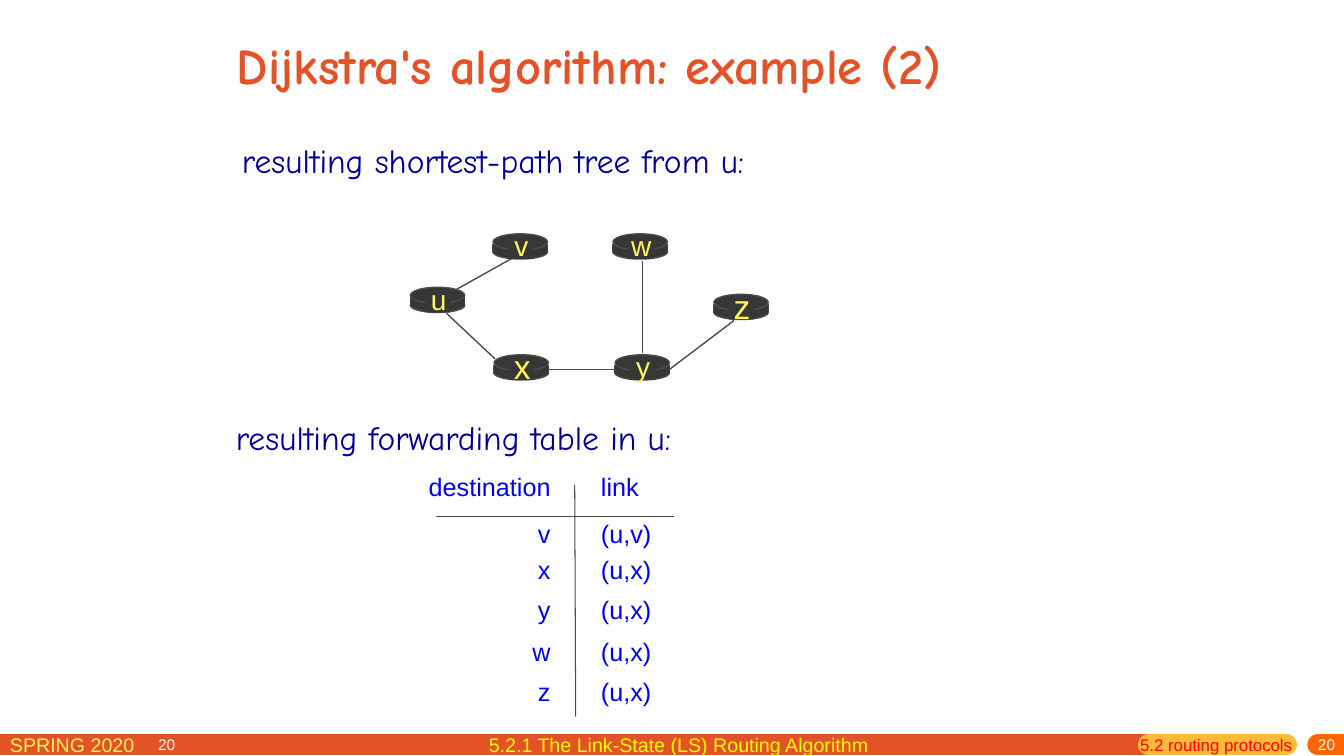
from dataclasses import dataclass
from lxml.etree import SubElement
from pptx import Presentation
from pptx.dml.color import RGBColor as Color
from pptx.enum.shapes import MSO_CONNECTOR as Connector, MSO_SHAPE as Shape
from pptx.enum.text import MSO_ANCHOR as Anchor, PP_ALIGN as Align
from pptx.oxml.ns import qn
from pptx.util import Inches, Pt


@dataclass(frozen=True)
class Theme:
    heading_font: str = "Comic Neue"
    body_font: str = "Arial"
    orange: str = "E45327"
    amber: str = "FFBA37"
    bright_orange: str = "FF6600"
    navy: str = "000099"
    blue: str = "0000FF"
    red: str = "FF0000"
    yellow: str = "FFFF00"
    pale_yellow: str = "FFF65C"
    white: str = "FFFFFF"
    router: str = "373737"
    line: str = "4C4C4C"
    title_size: int = 36
    heading_size: int = 24
    label_size: int = 20
    table_size: int = 18
    footer_size: int = 14
    section_size: int = 12
    number_size: int = 11


class SlideBuilder:
    def __init__(self, slide, theme):
        self.slide = slide
        self.theme = theme

    def style(self, text_frame, size, color, font=None, align=Align.LEFT, bold=False):
        for paragraph in text_frame.paragraphs:
            paragraph.alignment = align
            for run in paragraph.runs:
                run.font.name = font or self.theme.body_font
                run.font.size = Pt(size)
                run.font.bold = bold
                run.font.color.rgb = Color.from_string(color)

    def text(self, content, left, top, width, height, size, color,
             anchor=Anchor.TOP, margins=(0.1, 0.05, 0.1, 0.05), **options):
        box = self.slide.shapes.add_textbox(
            Inches(left), Inches(top), Inches(width), Inches(height))
        frame = box.text_frame
        frame.word_wrap = True
        frame.vertical_anchor = anchor
        (frame.margin_left, frame.margin_top,
         frame.margin_right, frame.margin_bottom) = map(Inches, margins)
        frame.text = content
        self.style(frame, size, color, **options)

    def line(self, start, end, color=None, weight=1.0, round_cap=False):
        connector = self.slide.shapes.add_connector(
            Connector.STRAIGHT, *map(Inches, (*start, *end)))
        connector.line.color.rgb = Color.from_string(color or self.theme.line)
        connector.line.width = Pt(weight)
        if round_cap:
            connector.line._get_or_add_ln().set("cap", "rnd")
        SubElement(connector._element.spPr, qn("a:effectLst"))
        return connector

    def solid(self, kind, left, top, width, height, outlined=False):
        shape = self.slide.shapes.add_shape(
            kind, Inches(left), Inches(top), Inches(width), Inches(height))
        shape.shadow.inherit = False
        shape.fill.solid()
        shape.fill.fore_color.rgb = Color.from_string(self.theme.router)
        if outlined:
            shape.line.color.rgb = Color.from_string(self.theme.line)
            shape.line.width = Pt(1)
        else:
            shape.line.fill.background()
        return shape

    def router(self, name, left, top, size):
        """Draw a labelled cylinder and return its body rectangle."""
        width, body_height, body_top = 0.54, 0.09, top + 0.1
        self.solid(Shape.OVAL, left, top + 0.11, width, 0.14, outlined=True)
        for side in (left, left + width):
            self.line((side, body_top), (side, body_top + body_height))
        body = self.solid(Shape.RECTANGLE, left, body_top, width, body_height)
        self.solid(Shape.OVAL, left, top, width, 0.16, outlined=True)
        self.solid(Shape.RECTANGLE, left + 0.15, top + 0.02, 0.25, 0.23)
        self.text(name, left + 0.08, top - 0.1, 0.4, 0.43, size,
                  self.theme.pale_yellow, anchor=Anchor.MIDDLE,
                  margins=(0, 0, 0, 0), align=Align.CENTER)
        return body

    def table(self, rows, left, top, widths, heights):
        table = self.slide.shapes.add_table(
            len(rows), len(widths), Inches(left), Inches(top),
            Inches(sum(widths)), Inches(sum(heights))).table
        table.first_row = table.horz_banding = False
        for column, width in zip(table.columns, widths):
            column.width = Inches(width)
        for row, height, values in zip(table.rows, heights, rows):
            row.height = Inches(height)
            for cell, value, align in zip(row.cells, values, (Align.RIGHT, Align.LEFT)):
                cell.fill.background()
                cell.vertical_anchor = Anchor.MIDDLE
                cell.margin_top = cell.margin_bottom = 0
                cell.margin_left = cell.margin_right = Inches(
                    0.24 if align == Align.RIGHT else 0.26)
                cell.text = value
                self.style(cell.text_frame, self.theme.table_size,
                           self.theme.blue, align=align)


def main():
    presentation = Presentation()
    presentation.slide_width = Inches(13.33)
    presentation.slide_height = Inches(7.5)
    theme = Theme()
    slide = presentation.slides.add_slide(presentation.slide_layouts[6])
    builder = SlideBuilder(slide, theme)

    # Footer bar and page numbers
    for start, end, color in ((-0.18, 11.39, theme.orange),
                              (11.39, 12.76, theme.amber),
                              (13.07, 13.6, theme.bright_orange)):
        builder.line((start, 7.39), (end, 7.39), color, 15, round_cap=True)
    builder.text("SPRING 2020", 0, 7.22, 2.29, 0.31, theme.footer_size, theme.pale_yellow)
    for left, align in ((1.47, Align.LEFT), (10.75, Align.RIGHT)):
        builder.text("20", left, 7.32, 2.59, 0.18, theme.number_size, theme.white,
                     anchor=Anchor.MIDDLE, margins=(0.1, 0, 0.1, 0.05), align=align)

    # Title and headings
    builder.text("Dijkstra's algorithm: example (2)", 2.25, 0.17, 8.5, 0.93,
                 theme.title_size, theme.orange, anchor=Anchor.MIDDLE,
                 font=theme.heading_font, bold=True)
    for heading, left, top in (("resulting shortest-path tree from u:", 2.3, 1.34),
                               ("resulting forwarding table in u:", 2.24, 4.09)):
        builder.text(heading, left, top, 5.92, 0.5, theme.heading_size, theme.navy,
                     font=theme.heading_font)

    # Shortest-path tree: free links first, then routers, then joined links
    for start, end in (((4.53, 2.87), (5.12, 2.54)),
                       ((4.91, 3.56), (4.43, 3.11)),
                       ((6.37, 2.59), (6.37, 3.5))):
        builder.line(start, end)
    small, large = theme.label_size, theme.heading_size
    routers = {name: builder.router(name, left, top, size) for name, left, top, size in (
        ("u", 4.07, 2.85, small), ("x", 4.9, 3.52, large), ("v", 4.89, 2.32, small),
        ("w", 6.08, 2.32, small), ("y", 6.1, 3.52, small), ("z", 7.08, 2.92, large))}
    link_yz = builder.line((6.64, 3.66), (7.28, 3.18))
    link_yz.begin_connect(routers["y"], 3)
    link_yx = builder.line((6.1, 3.66), (5.44, 3.66))
    link_yx.begin_connect(routers["y"], 1)
    link_yx.end_connect(routers["x"], 3)

    # Forwarding table with its two rules
    forwarding = [("destination", "link"), ("v", "(u,v)"), ("x", "(u,x)"),
                  ("y", "(u,x)"), ("w", "(u,x)"), ("z", "(u,x)")]
    builder.table(forwarding, 4.0, 4.56, (1.7, 1.1),
                  (0.56, 0.38, 0.33, 0.45, 0.39, 0.4))
    builder.line((5.7, 4.81), (5.71, 7.11), weight=0.75)
    builder.line((4.32, 5.12), (6.68, 5.12), weight=0.75)

    # Section labels in the footer
    builder.text("5.2 routing protocols", 11.21, 7.24, 1.84, 0.31,
                 theme.section_size, theme.red)
    builder.text("5.2.1 The Link-State (LS) Routing Algorithm", 4.75, 7.22, 4.1, 0.34,
                 theme.footer_size, theme.yellow)

    presentation.save("out.pptx")


if __name__ == "__main__":
    main()
